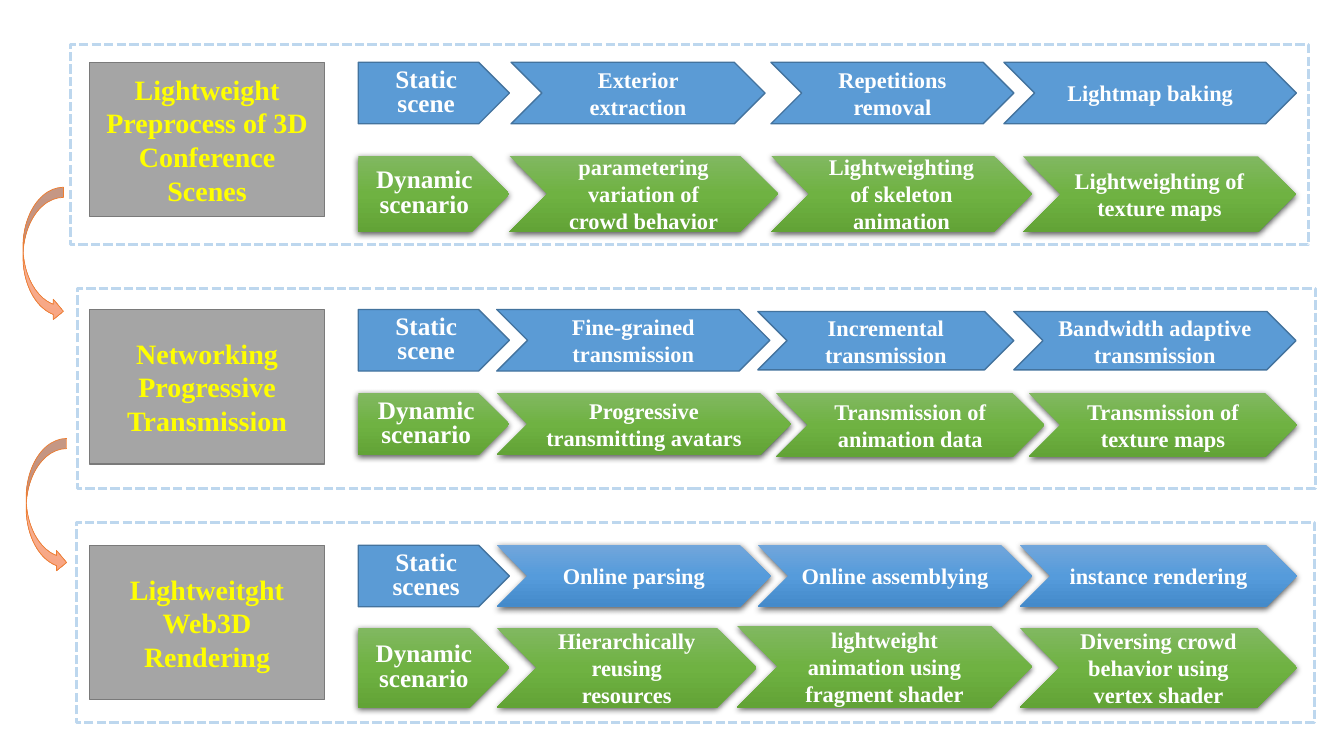
from copy import deepcopy
from dataclasses import dataclass

from lxml.etree import SubElement as Sub
from pptx import Presentation
from pptx.dml.color import RGBColor as Rgb
from pptx.enum.dml import MSO_LINE as Dash
from pptx.enum.shapes import MSO_SHAPE as Kind
from pptx.enum.text import MSO_ANCHOR as Anchor, PP_ALIGN as Align
from pptx.oxml.ns import qn
from pptx.util import Cm, Pt


@dataclass(frozen=True)
class Theme:
    font: str = "Times New Roman"
    white: str = "FFFFFF"
    yellow: str = "FFFF00"
    gray: tuple = ("A5A5A5", "7A7A7A")
    flat: tuple = ("5B9BD5", "43739E")
    blue: tuple = ("71A6DB", "559BDB", "448ACA")
    green: tuple = ("81B861", "6FB242", "62A336")
    peach: tuple = ("F7BDA5", "F5B196", "F8A582")
    orange: str = "ED7D31"
    frame: str = "BDD7EE"
    title: int = 20
    lead: int = 18
    step: int = 16


class Board:
    def __init__(self, slide, theme):
        self.slide, self.theme = slide, theme

    def shape(self, kind, box):
        item = self.slide.shapes.add_shape(kind, *map(Cm, box))
        item.shadow.inherit = False
        return item

    def line(self, item, color, width):
        item.line.color.rgb = Rgb.from_string(color)
        item.line.width = Pt(width)

    def blend(self, item, colors):
        """Fill from top to bottom with three evenly spaced colours."""
        fill = item.fill
        fill.gradient()
        fill.gradient_angle = 270
        stops = item._element.spPr.find(qn("a:gradFill")).find(qn("a:gsLst"))
        stops.insert(1, deepcopy(stops[0]))
        for i, (stop, color) in enumerate(zip(fill.gradient_stops, colors)):
            stop.position = i / 2
            stop.color.rgb = Rgb.from_string(color)

    def shade(self, item):
        holder = item._element.spPr.find(qn("a:effectLst"))
        outer = Sub(holder, qn("a:outerShdw"), blurRad=str(Pt(4.5)), dist=str(Pt(1.5)),
                    dir="5400000", algn="ctr", rotWithShape="0")
        black = Sub(outer, qn("a:srgbClr"), val="000000")
        Sub(black, qn("a:alpha"), val="63000")

    def paint(self, item, paint):
        """A pair is fill and outline; three colours are a glossy blend."""
        if len(paint) == 3:
            self.blend(item, paint)
            item.line.fill.background()
            self.shade(item)
        else:
            item.fill.solid()
            item.fill.fore_color.rgb = Rgb.from_string(paint[0])
            self.line(item, paint[1], 1)

    def label(self, kind, box, paint, text, size, color, space=None):
        item = self.shape(kind, box)
        self.paint(item, paint)
        frame = item.text_frame
        frame.word_wrap = True
        frame.vertical_anchor = Anchor.MIDDLE
        para = frame.paragraphs[0]
        para.text = text
        para.alignment = Align.CENTER
        para.line_spacing = space
        font = para.font
        font.name, font.size, font.bold = self.theme.font, Pt(size), True
        font.color.rgb = Rgb.from_string(color)

    def title(self, top, text):
        look = self.theme
        self.label(Kind.RECTANGLE, (2.26, top, 5.92, 3.89), look.gray, text,
                   look.title, look.yellow)

    def row(self, top, high, lead, base, paint, steps):
        look = self.theme
        for text, left, wide, drop, grow in steps:
            self.label(Kind.CHEVRON, (left, top + drop, wide, high + grow), paint, text,
                       look.step, look.white)
        self.label(Kind.PENTAGON, (9.03, top, 3.81, high), base, lead,
                   look.lead, look.white, 0.8)

    def frame(self, left, top):
        item = self.shape(Kind.RECTANGLE, (left, top, 31.19, 5.05))
        item.fill.background()
        self.line(item, self.theme.frame, 2.25)
        item.line.dash_style = Dash.SQUARE_DOT

    def arrow(self, left, top):
        item = self.shape(Kind.CURVED_RIGHT_ARROW, (left, top, 1.02, 3.38))
        self.blend(item, self.theme.peach)
        self.line(item, self.theme.orange, 0.5)


THEME = Theme()

# Each band: title, title top, frame corner, rows
# Each row: top, height, lead text, lead paint, step paint, steps
# Each step: text, left, width, shift down, extra height
BANDS = [
    ("Lightweight Preprocess of 3D Conference Scenes", 1.57, (1.78, 1.12), [
        (1.57, 1.55, "Static scene", THEME.flat, THEME.flat, [
            ("Exterior extraction", 12.88, 6.4, 0, 0),
            ("Repetitions removal", 19.43, 6.12, 0, 0),
            ("Lightmap baking", 25.3, 7.37, 0, 0)]),
        (3.92, 1.93, "Dynamic scenario", THEME.green, THEME.green, [
            ("parametering variation of crowd behavior", 12.83, 6.78, 0, 0),
            ("Lightweighting of skeleton animation", 19.43, 6.58, 0, 0),
            ("Lightweighting of texture maps", 25.78, 6.88, 0.02, -0.02)]),
    ]),
    ("Networking Progressive Transmission", 7.8, (1.96, 7.26), [
        (7.8, 1.55, "Static scene", THEME.flat, THEME.flat, [
            ("Fine-grained transmission", 12.52, 6.88, 0, 0),
            ("Incremental transmission", 19.1, 6.45, 0.05, -0.08),
            ("Bandwidth adaptive transmission", 25.55, 7.11, 0.05, -0.08)]),
        (9.91, 1.55, "Dynamic scenario", THEME.green, THEME.green, [
            ("Progressive transmitting avatars", 12.52, 7.42, 0, 0),
            ("Transmission of animation data", 19.56, 6.76, 0, 0.05),
            ("Transmission of texture maps", 25.93, 6.76, 0, 0.05)]),
    ]),
    ("Lightweitght Web3D Rendering", 13.74, (1.93, 13.16), [
        (13.74, 1.55, "Static scenes", THEME.flat, THEME.blue, [
            ("Online parsing", 12.52, 6.91, 0, 0),
            ("Online assemblying", 19.1, 6.91, 0, 0),
            ("instance rendering", 25.7, 6.99, 0, 0)]),
        (15.82, 2.01, "Dynamic scenario", THEME.green, THEME.green, [
            ("Hierarchically reusing resources", 12.52, 6.55, 0, 0),
            ("lightweight animation using fragment shader", 18.57, 7.44, -0.05, 0.05),
            ("Diversing crowd behavior using vertex shader", 25.7, 6.99, 0, 0)]),
    ]),
]


def main():
    deck = Presentation()
    deck.slide_width, deck.slide_height = Cm(33.87), Cm(19.05)
    board = Board(deck.slides.add_slide(deck.slide_layouts[6]), THEME)

    # Bands of work
    for title, top, corner, rows in BANDS:
        for row in rows:
            board.row(*row)
        board.title(top, title)
        board.frame(*corner)

    # Arrows from band to band
    for spot in ((0.58, 4.72), (0.66, 11.05)):
        board.arrow(*spot)

    deck.save("out.pptx")


if __name__ == "__main__":
    main()
